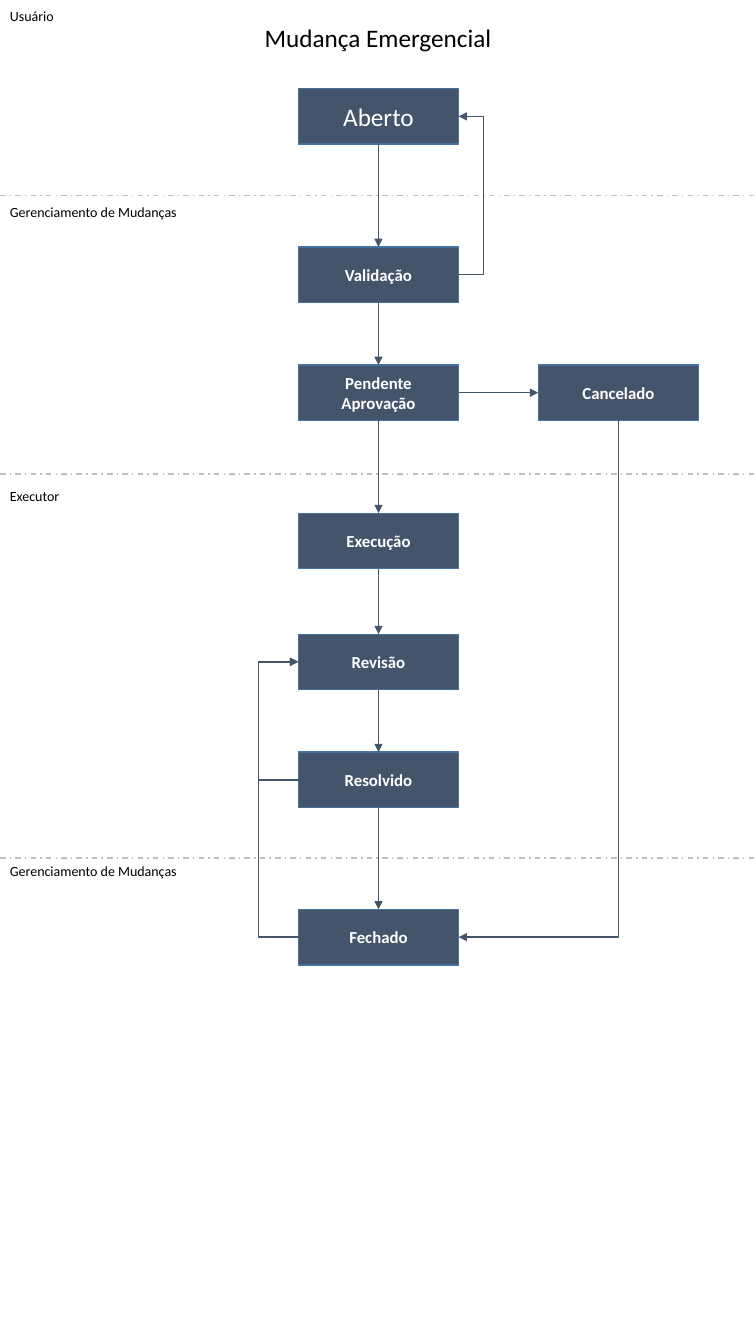
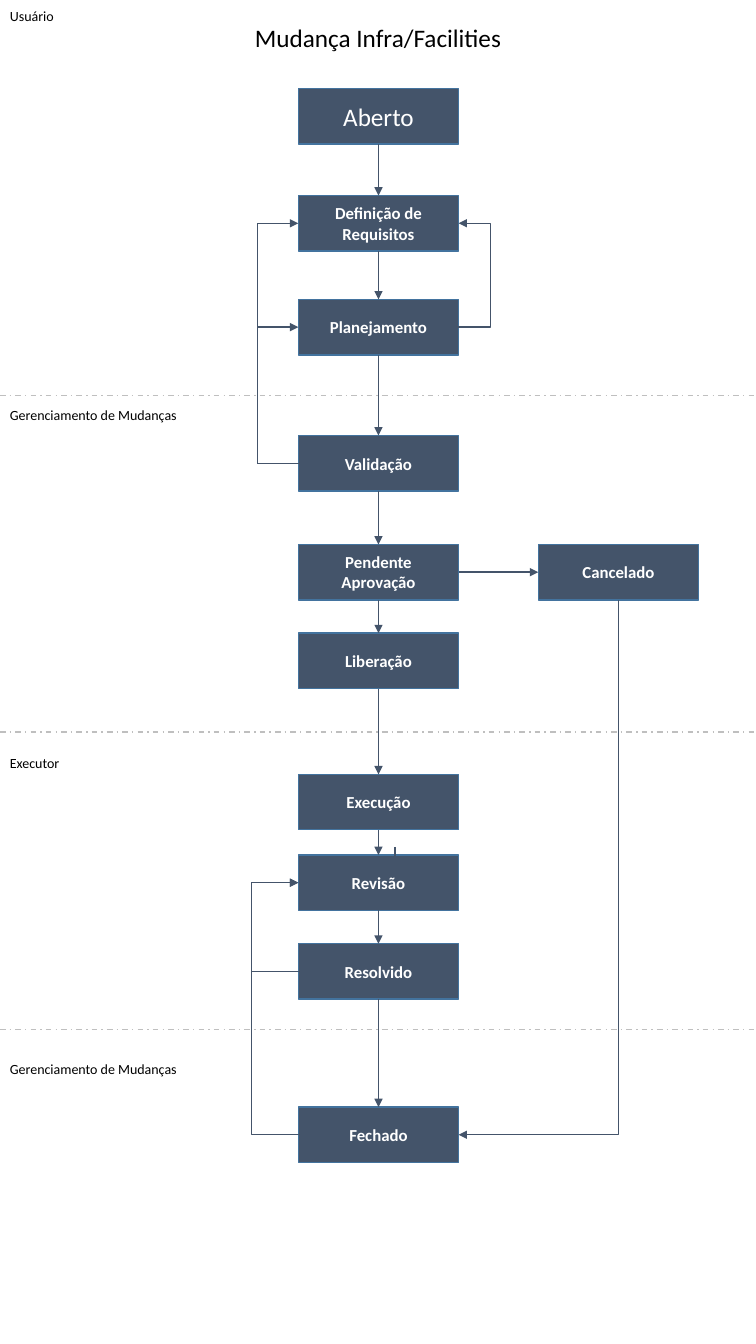
from itertools import pairwise

from lxml.etree import SubElement
from pptx import Presentation
from pptx.dml.color import RGBColor
from pptx.enum.dml import MSO_LINE
from pptx.enum.shapes import MSO_CONNECTOR, MSO_SHAPE
from pptx.enum.text import MSO_ANCHOR, PP_ALIGN
from pptx.oxml.ns import qn
from pptx.util import Inches, Pt

COLORS = {
    "box": "44546A",
    "outline": "43739E",
    "divider": "BFBFBF",
    "text": "000000",
    "box_text": "FFFFFF",
}
FONT = "Calibri"
SLIDE_WIDTH, SLIDE_HEIGHT = 7.5, 13.33
BOX_WIDTH, BOX_HEIGHT = 1.59, 0.55
MAIN_LEFT, SIDE_LEFT = 2.96, 5.34
TOP, LEFT, BOTTOM, RIGHT = range(4)
NUDGE = Inches(0.01)
LABEL_WIDTHS = {"Usuário": 0.64, "Gerenciamento de Mudanças": 1.88, "Executor": 0.71}

FLOWS = [
    {
        "title": "Mudança Emergencial",
        "labels": [("Usuário", 0.03), ("Gerenciamento de Mudanças", 1.97),
                   ("Executor", 4.79), ("Gerenciamento de Mudanças", 8.51)],
        "dividers": [1.94, 4.7, 8.51],
        "steps": [("Aberto", 0.88), ("Validação", 2.45), ("Pendente Aprovação", 3.62),
                  ("Execução", 5.09), ("Revisão", 6.29), ("Resolvido", 7.46),
                  ("Fechado", 9.02)],
        "loops": [("Fechado", "Revisão", LEFT, 2.56), ("Resolvido", "Revisão", LEFT, 2.56),
                  ("Validação", "Aberto", RIGHT, 4.8)],
        "loose_arrows": [],
    },
    {
        "title": "Mudança Infra/Facilities",
        "labels": [("Usuário", 0.03), ("Gerenciamento de Mudanças", 3.98),
                   ("Executor", 7.43), ("Gerenciamento de Mudanças", 10.47)],
        "dividers": [3.92, 7.26, 10.21],
        "steps": [("Aberto", 0.88), ("Definição de Requisitos", 1.94), ("Planejamento", 2.97),
                  ("Validação", 4.32), ("Pendente Aprovação", 5.4), ("Liberação", 6.28),
                  ("Execução", 7.68), ("Revisão", 8.48), ("Resolvido", 9.36),
                  ("Fechado", 10.98)],
        "loops": [("Fechado", "Revisão", LEFT, 2.49), ("Resolvido", "Revisão", LEFT, 2.49),
                  ("Validação", "Definição de Requisitos", LEFT, 2.55),
                  ("Validação", "Planejamento", LEFT, 2.55),
                  ("Planejamento", "Definição de Requisitos", RIGHT, 4.87)],
        "loose_arrows": [(3.92, 8.4, 8.65)],
    },
]


def color(name):
    return RGBColor.from_string(COLORS[name])


def write(shape, text, size, color_name, alignment, bold=False):
    paragraph = shape.text_frame.paragraphs[0]
    paragraph.text = text
    paragraph.alignment = alignment
    font = paragraph.font
    font.name, font.size, font.bold = FONT, Pt(size), bold
    font.color.rgb = color(color_name)


def add_text(slide, text, top, width, height, size, alignment, wrap):
    shape = slide.shapes.add_textbox(0, Inches(top), Inches(width), Inches(height))
    shape.text_frame.word_wrap = wrap
    write(shape, text, size, "text", alignment)


def add_box(slide, text, left, top, size=12, bold=True):
    shape = slide.shapes.add_shape(
        MSO_SHAPE.RECTANGLE, Inches(left), Inches(top), Inches(BOX_WIDTH), Inches(BOX_HEIGHT))
    shape.shadow.inherit = False
    shape.fill.solid()
    shape.fill.fore_color.rgb = color("box")
    shape.line.color.rgb = color("outline")
    shape.line.width = Pt(1)
    shape.text_frame.word_wrap = True
    shape.text_frame.vertical_anchor = MSO_ANCHOR.MIDDLE
    write(shape, text, size, "box_text", PP_ALIGN.CENTER, bold)
    return shape


def add_line(slide, start=(0, 0), end=(0, 0), kind=MSO_CONNECTOR.STRAIGHT,
             color_name="box", arrow="tailEnd"):
    connector = slide.shapes.add_connector(kind, *map(Inches, start + end))
    connector.line.color.rgb = color(color_name)
    connector.line.width = Pt(1)
    if arrow:
        SubElement(connector.line._get_or_add_ln(), qn("a:" + arrow), type="triangle")
    SubElement(connector._element.spPr, qn("a:effectLst"))
    return connector


def add_divider(slide, top):
    divider = add_line(slide, (0, top), (SLIDE_WIDTH, top), color_name="divider", arrow=None)
    divider.line.dash_style = MSO_LINE.DASH_DOT


def join(slide, source, source_side, target, target_side, **style):
    connector = add_line(slide, **style)
    connector.begin_connect(source, source_side)
    connector.end_connect(target, target_side)
    return connector


def add_loop(slide, source, target, side, lane):
    connector = join(slide, source, side, target, side, kind=MSO_CONNECTOR.ELBOW)
    connector.begin_x += NUDGE if side == LEFT else -NUDGE
    ratio = (Inches(lane) - connector.begin_x) / (connector.end_x - connector.begin_x)
    geometry = connector._element.spPr.find(qn("a:prstGeom"))
    adjustments = geometry.find(qn("a:avLst"))
    SubElement(adjustments, qn("a:gd"), name="adj1", fmla=f"val {round(ratio * 100000)}")


def add_corner(slide, source, target):
    connector = join(slide, target, RIGHT, source, BOTTOM,
                     kind=MSO_CONNECTOR.ELBOW, arrow="headEnd")
    connector._element.spPr.find(qn("a:prstGeom")).set("prst", "bentConnector2")


def add_flow(slide, flow):
    add_text(slide, flow["title"], 0.17, SLIDE_WIDTH, 0.4, 18, PP_ALIGN.CENTER, True)
    for label, top in flow["labels"]:
        add_text(slide, label, top, LABEL_WIDTHS[label], 0.27, 10, PP_ALIGN.LEFT, False)
    for top in flow["dividers"]:
        add_divider(slide, top)

    tops = dict(flow["steps"])
    (first, first_top), *others = flow["steps"]
    boxes = {first: add_box(slide, first, MAIN_LEFT, first_top, 18, False)}
    for name, top in others:
        boxes[name] = add_box(slide, name, MAIN_LEFT, top)
    approval = "Pendente Aprovação"
    canceled = add_box(slide, "Cancelado", SIDE_LEFT, tops[approval])

    for source, target in pairwise(boxes.values()):
        join(slide, source, BOTTOM, target, TOP)
    join(slide, boxes[approval], RIGHT, canceled, LEFT)
    add_corner(slide, canceled, boxes["Fechado"])
    for source, target, side, lane in flow["loops"]:
        add_loop(slide, boxes[source], boxes[target], side, lane)
    for x, top, bottom in flow["loose_arrows"]:
        add_line(slide, (x, top), (x, bottom))


def main():
    presentation = Presentation()
    presentation.slide_width = Inches(SLIDE_WIDTH)
    presentation.slide_height = Inches(SLIDE_HEIGHT)
    for flow in FLOWS:
        add_flow(presentation.slides.add_slide(presentation.slide_layouts[6]), flow)
    presentation.save("out.pptx")


if __name__ == "__main__":
    main()
